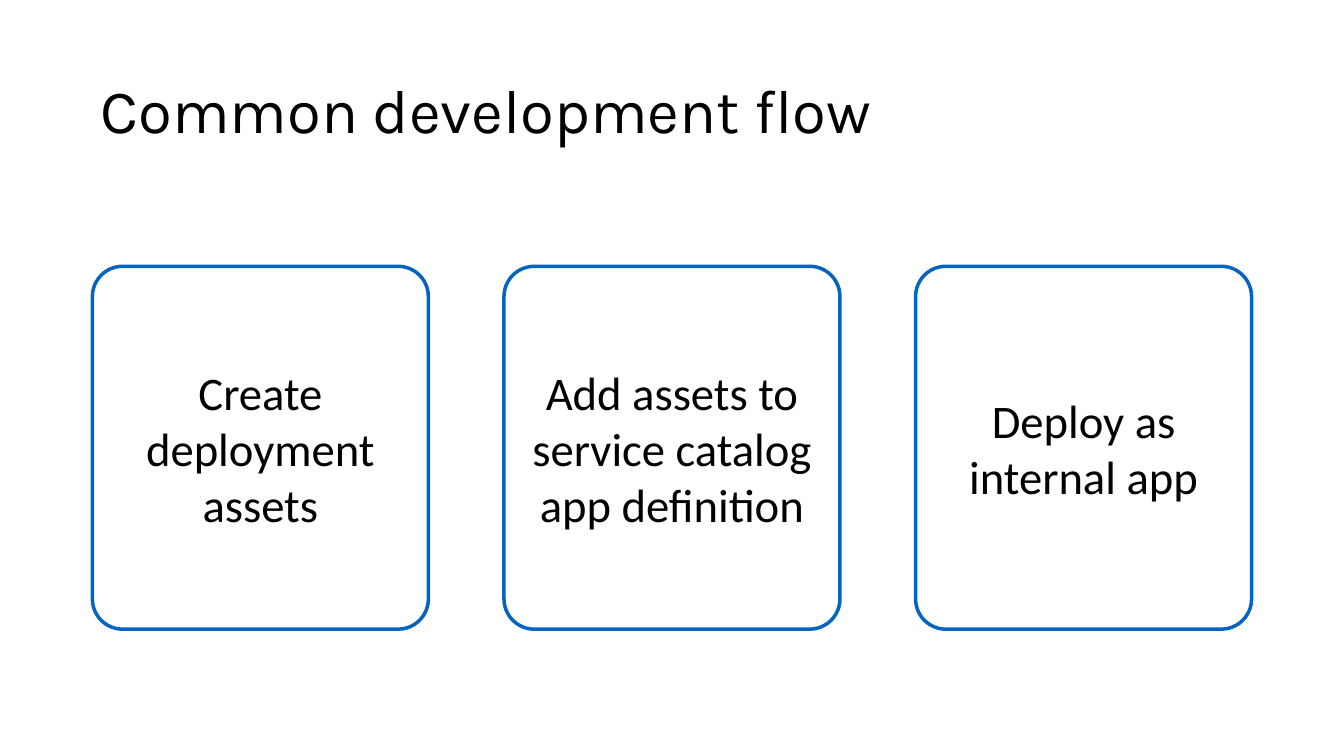
from pptx import Presentation
from pptx.dml.color import RGBColor
from pptx.enum.shapes import MSO_SHAPE
from pptx.enum.text import MSO_ANCHOR, MSO_AUTO_SIZE, PP_ALIGN
from pptx.util import Pt

COLORS = {"text": "000000", "line": "0563C1", "back": "FFFFFF"}
STEPS = [
    "Create deployment assets",
    "Add assets to service catalog app definition",
    "Deploy as internal app",
]
LEFT, TOP, WIDTH, HEIGHT, STRIDE = 79.2, 228.24, 288, 311.04, 352.8


def color(name):
    return RGBColor.from_string(COLORS[name])


def write(shape, text, face, size, align):
    frame = shape.text_frame
    frame.text = text
    frame.word_wrap = True
    frame.auto_size = MSO_AUTO_SIZE.NONE
    frame.vertical_anchor = MSO_ANCHOR.MIDDLE
    para = frame.paragraphs[0]
    para.alignment = align
    font = para.runs[0].font
    font.name = face
    font.size = Pt(size)
    font.color.rgb = color("text")


deck = Presentation()
deck.slide_width, deck.slide_height = Pt(1152), Pt(648)
slide = deck.slides.add_slide(deck.slide_layouts[5])
slide.background.fill.solid()
slide.background.fill.fore_color.rgb = color("back")

title = slide.shapes.title
title.left, title.top = Pt(LEFT), Pt(34.56)
title.width, title.height = Pt(993.6), Pt(125.28)
write(title, "Common development flow", "Karla", 52.8, PP_ALIGN.LEFT)
title.text_frame.paragraphs[0].line_spacing = 0.9

for place, step in enumerate(STEPS):
    card = slide.shapes.add_shape(
        MSO_SHAPE.ROUNDED_RECTANGLE,
        Pt(LEFT + place * STRIDE), Pt(TOP), Pt(WIDTH), Pt(HEIGHT),
    )
    card.adjustments[0] = 0.09
    card.shadow.inherit = False
    card.fill.background()
    card.line.color.rgb = color("line")
    card.line.width = Pt(3)
    write(card, step, "Calibri", 40, PP_ALIGN.CENTER)

deck.save("out.pptx")
